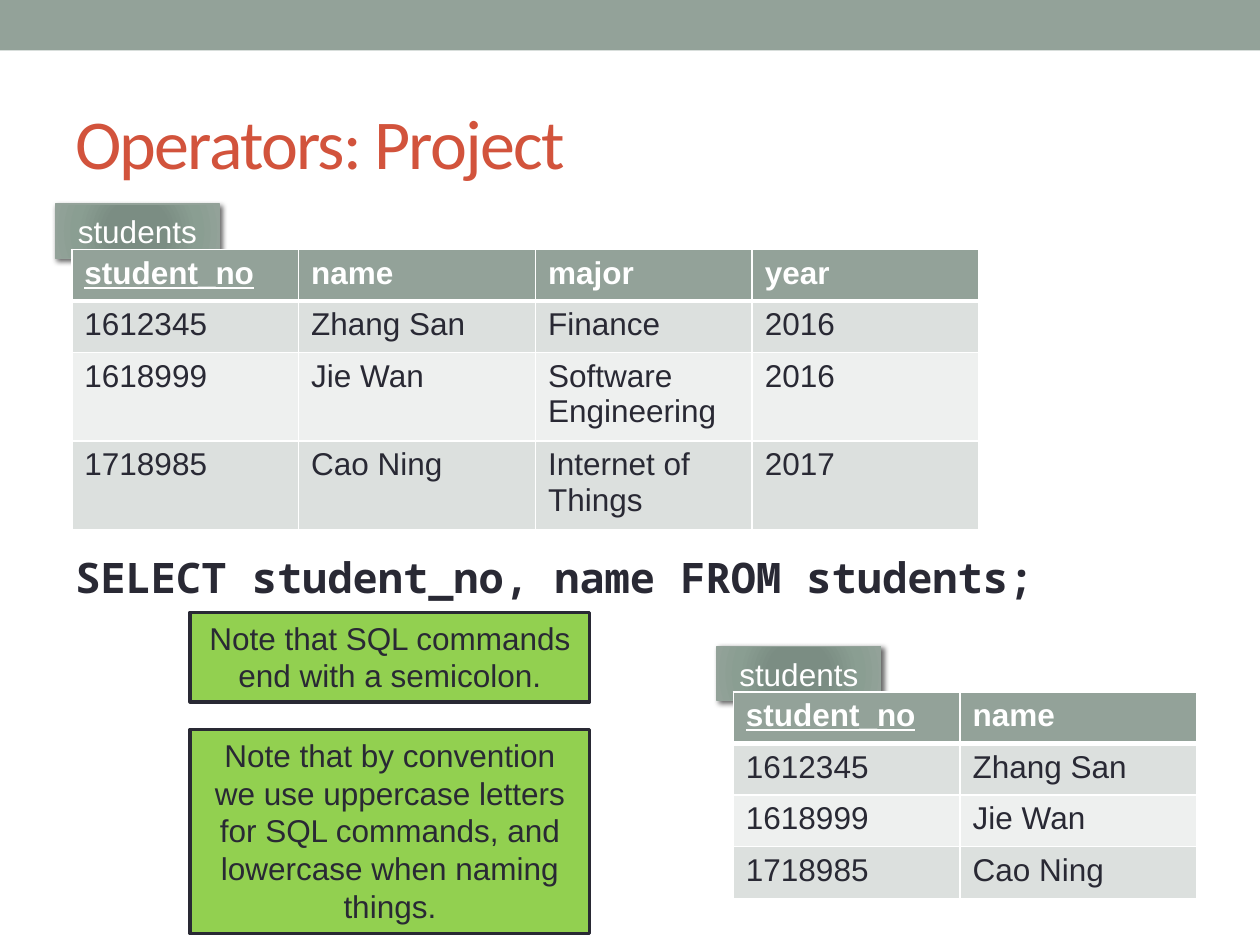
from dataclasses import dataclass
from lxml.etree import SubElement
from pptx import Presentation
from pptx.dml.color import RGBColor
from pptx.enum.shapes import MSO_SHAPE as Shape
from pptx.enum.text import MSO_ANCHOR as Anchor, PP_ALIGN as Align
from pptx.oxml.ns import qn
from pptx.util import Inches, Pt


@dataclass(frozen=True)
class Theme:
    accent: str = "93A299"
    title: str = "D2533C"
    ink: str = "292934"
    white: str = "FFFFFF"
    note: str = "92D050"
    bands: tuple = ("DCE0DE", "EEF0EF")
    label_stops: tuple = ((0, "7B8E82"), (34, "7B8D83"), (70, "8A9E92"), (100, "93A299"))
    body_font: str = "Arial"
    title_font: str = "Calibri"
    code_font: str = "Noto Sans Mono"
    title_size: int = 40
    code_size: int = 24
    body_size: int = 18


def add_node(parent, tag, **attributes):
    return SubElement(parent, qn(tag), {key: str(value) for key, value in attributes.items()})


class SlideBuilder:
    def __init__(self, slide, theme):
        self.slide = slide
        self.theme = theme

    def add_span(self, frame, text, color, size=None, font=None, bold=False, underline=False, align=None):
        para = frame.paragraphs[0]
        para.alignment = align
        span = para.add_run()
        span.text = text
        span.font.name = font or self.theme.body_font
        span.font.size = Pt(size or self.theme.body_size)
        span.font.bold = bold
        span.font.underline = underline
        span.font.color.rgb = RGBColor.from_string(color)
        return span

    def text(self, left, top, width, height, text, color, **style):
        box = self.slide.shapes.add_textbox(Inches(left), Inches(top), Inches(width), Inches(height))
        box.text_frame.word_wrap = True
        box.text_frame.vertical_anchor = Anchor.MIDDLE
        return self.add_span(box.text_frame, text, color, **style)

    def rectangle(self, left, top, width, height, fill, line=None, weight=0.75):
        box = self.slide.shapes.add_shape(
            Shape.RECTANGLE, Inches(left), Inches(top), Inches(width), Inches(height))
        box.shadow.inherit = False
        box.fill.solid()
        box.fill.fore_color.rgb = RGBColor.from_string(fill)
        if line:
            box.line.color.rgb = RGBColor.from_string(line)
            box.line.width = Pt(weight)
        else:
            box.line.fill.background()
        return box

    def note(self, top, height, text):
        box = self.rectangle(1.51, top, 3.17, height, self.theme.note, self.theme.ink, 2.08)
        box.text_frame.word_wrap = True
        box.text_frame.vertical_anchor = Anchor.TOP
        self.add_span(box.text_frame, text, self.theme.ink, align=Align.CENTER)

    def label(self, left, top, text):
        box = self.rectangle(left, top, 1.3, 0.43, self.theme.accent, self.theme.accent)
        properties = box._element.spPr
        solid = properties.find(qn("a:solidFill"))
        gradient = add_node(properties, "a:gradFill", rotWithShape=1)
        stops = add_node(gradient, "a:gsLst")
        for position, color in self.theme.label_stops:
            stop = add_node(stops, "a:gs", pos=position * 1000)
            add_node(stop, "a:srgbClr", val=color)
        circle = add_node(gradient, "a:path", path="circle")
        add_node(circle, "a:fillToRect", l=100000, t=100000, r=100000, b=100000)
        properties.replace(solid, gradient)
        shadow = add_node(properties.find(qn("a:effectLst")), "a:outerShdw",
                          blurRad=Pt(3), dist=Pt(2), dir=45 * 60000, rotWithShape=0)
        add_node(add_node(shadow, "a:srgbClr", val="000000"), "a:alpha", val=60000)
        box.text_frame.vertical_anchor = Anchor.MIDDLE
        self.add_span(box.text_frame, text, self.theme.white, align=Align.CENTER)

    def borders(self, cell, top, bottom):
        properties = cell._tc.get_or_add_tcPr()
        for side, weight in (("L", 1), ("R", 1), ("T", top), ("B", bottom)):
            line = add_node(properties, f"a:ln{side}", w=Pt(weight))
            add_node(add_node(line, "a:solidFill"), "a:srgbClr", val=self.theme.white)

    def table(self, left, top, widths, heights, rows):
        grid = self.slide.shapes.add_table(
            len(rows), len(widths), Inches(left), Inches(top),
            Inches(sum(widths)), Inches(sum(heights))).table
        for column, width in zip(grid.columns, widths):
            column.width = Inches(width)
        for index, (values, height) in enumerate(zip(rows, heights)):
            grid.rows[index].height = Inches(height)
            header = index == 0
            fill = self.theme.accent if header else self.theme.bands[(index - 1) % 2]
            for position, value in enumerate(values):
                cell = grid.cell(index, position)
                self.borders(cell, 3 if index == 1 else 1, 3 if header else 1)
                cell.fill.solid()
                cell.fill.fore_color.rgb = RGBColor.from_string(fill)
                self.add_span(cell.text_frame, value, self.theme.white if header else self.theme.ink,
                              bold=header, underline=header and position == 0)

    def relation(self, left, top, name, widths, heights, rows):
        self.label(left, top, name)
        self.table(left + 0.13, top + 0.36, widths, heights, rows)


def main():
    deck = Presentation()
    deck.slide_width, deck.slide_height = Inches(10), Inches(7.5)
    theme = Theme()
    page = SlideBuilder(deck.slides.add_slide(deck.slide_layouts[6]), theme)

    students = [
        ("student_no", "name", "major", "year"),
        ("1612345", "Zhang San", "Finance", "2016"),
        ("1618999", "Jie Wan", "Software Engineering", "2016"),
        ("1718985", "Cao Ning", "Internet of Things", "2017"),
    ]
    widths = [1.8, 1.88, 1.72, 1.8]

    page.rectangle(0, 0, 10, 0.4, theme.accent)
    title = page.text(0.5, 0.58, 9, 1.08, "Operators: Project", theme.title,
                      size=theme.title_size, font=theme.title_font)
    title.font._element.set("spc", "-100")
    page.text(0.5, 4.3, 9, 0.55, "SELECT student_no, name FROM students;", theme.ink,
              size=theme.code_size, font=theme.code_font, bold=True)
    page.relation(5.69, 5.13, "students", widths[:2], [0.41] * 4, [row[:2] for row in students])
    page.relation(0.44, 1.62, "students", widths, [0.41, 0.41, 0.66, 0.66], students)
    page.note(4.86, 0.71, "Note that SQL commands end with a semicolon.")
    page.note(5.79, 1.62, "Note that by convention we use uppercase letters for SQL commands, "
                          "and lowercase when naming things.")
    deck.save("out.pptx")


if __name__ == "__main__":
    main()
